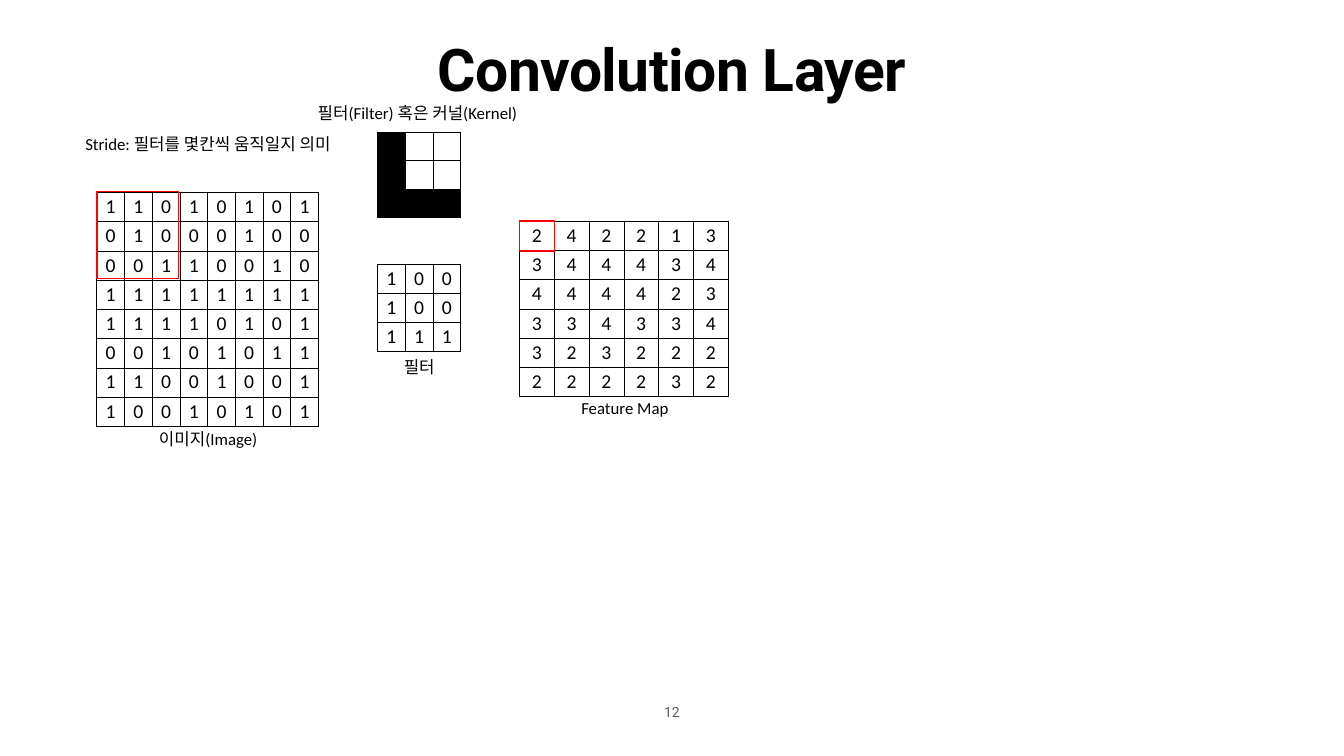
from dataclasses import dataclass

from lxml import etree
from pptx import Presentation
from pptx.dml.color import RGBColor
from pptx.enum.shapes import MSO_SHAPE
from pptx.enum.text import MSO_ANCHOR, PP_ALIGN
from pptx.oxml.ns import qn
from pptx.util import Emu, Pt

PX = 9144  # 100 px to the inch


@dataclass(frozen=True)
class Theme:
    ink: RGBColor = RGBColor(0x00, 0x00, 0x00)
    muted: RGBColor = RGBColor(0x5E, 0x5E, 0x5E)
    accent: RGBColor = RGBColor(0xFF, 0x00, 0x00)
    heading_font: str = "Roboto"
    body_font: str = "Calibri"
    title_size: int = 84
    cell_size: int = 28
    label_size: int = 24
    number_size: int = 20


THEME = Theme()

IMAGE = ["11010101", "01000100", "00110010", "11111111",
         "11110101", "00101011", "11001001", "10010101"]
FILTER = ["100", "100", "111"]
FEATURE_MAP = ["242213", "344434", "444423", "334334", "323222", "222232"]

LABELS = [
    ("필터(Filter) 혹은 커널(Kernel) ", (586, 203, 492, 48)),
    ("이미지(Image)", (285, 850, 256, 48)),
    ("필터", (704, 706, 256, 48)),
    ("Feature Map", (971, 788, 538, 48)),
    ("Stride: 필터를 몇칸씩 움직일지 의미", (122, 263, 581, 48)),
]


def px(*values):
    return [Emu(v * PX) for v in values]


def set_all(target, formats):
    for name, value in formats.items():
        setattr(target, name, value)


def write(tf, text, size, font=THEME.body_font, color=THEME.ink,
          bold=False, line_spacing=0.9):
    p = tf.paragraphs[0]
    set_all(p, {"alignment": PP_ALIGN.CENTER, "line_spacing": line_spacing})
    r = p.add_run()
    r.text = text
    set_all(r.font, {"size": Pt(size), "name": font, "bold": bold})
    r.font.color.rgb = color
    return r


def add_text(slide, text, box, size, anchor=MSO_ANCHOR.MIDDLE, wrap=True, **style):
    tf = slide.shapes.add_textbox(*px(*box)).text_frame
    margins = dict.fromkeys(
        ("margin_left", "margin_top", "margin_right", "margin_bottom"), Emu(6 * PX))
    set_all(tf, {"word_wrap": wrap, "vertical_anchor": anchor, **margins})
    return write(tf, text, size, **style)


def add_borders(cell):
    tc_pr = cell._tc.get_or_add_tcPr()
    for i, side in enumerate(("a:lnL", "a:lnR", "a:lnT", "a:lnB")):
        ln = etree.Element(qn(side), w=str(Pt(1)))
        fill = etree.SubElement(ln, qn("a:solidFill"))
        etree.SubElement(fill, qn("a:srgbClr"), val=str(THEME.ink))
        tc_pr.insert(i, ln)


def add_grid(slide, left, top, col_w, row_h, rows, as_pixels=False):
    """Draw rows of digits, or with as_pixels a black cell for each 1."""
    n_rows, n_cols = len(rows), len(rows[0])
    frame = slide.shapes.add_table(
        n_rows, n_cols, *px(left, top, n_cols * col_w, n_rows * row_h))
    table = frame.table
    set_all(table, {"first_row": False, "horz_banding": False})
    for column in table.columns:
        column.width = Emu(col_w * PX)
    for row, digits in zip(table.rows, rows):
        row.height = Emu(row_h * PX)
        for cell, digit in zip(row.cells, digits):
            set_all(cell, {"vertical_anchor": MSO_ANCHOR.MIDDLE,
                           "margin_top": Emu(3 * PX), "margin_bottom": Emu(3 * PX)})
            if as_pixels and digit == "1":
                cell.fill.solid()
                cell.fill.fore_color.rgb = THEME.ink
            else:
                cell.fill.background()
            if not as_pixels:
                write(cell.text_frame, digit, THEME.cell_size)
            add_borders(cell)


def add_highlight(slide, *box):
    sp = slide.shapes.add_shape(MSO_SHAPE.RECTANGLE, *px(*box))
    sp.shadow.inherit = False
    sp.fill.background()
    sp.line.color.rgb = THEME.accent
    sp.line.width = Pt(2.25)


def main():
    prs = Presentation()
    prs.slide_width, prs.slide_height = px(2667, 1500)
    slide = prs.slides.add_slide(prs.slide_layouts[6])

    # Title and page number
    r = add_text(slide, "Convolution Layer", (133, 85, 2400, 189), THEME.title_size,
                 anchor=MSO_ANCHOR.TOP, font=THEME.heading_font, bold=True,
                 line_spacing=0.8)
    r.font._element.set("spc", "-80")
    add_text(slide, "12", (1307, 1391, 53, 45), THEME.number_size,
             anchor=MSO_ANCHOR.BOTTOM, wrap=False, font=THEME.heading_font,
             color=THEME.muted, line_spacing=1.0)

    # Image, filter (as digits and as pixels) and resulting feature map
    add_grid(slide, 192, 382, 55, 58, IMAGE)
    add_grid(slide, 749, 524, 55, 58, FILTER)
    add_grid(slide, 749, 263, 55, 56, FILTER, as_pixels=True)
    add_grid(slide, 1031, 439, 69, 58, FEATURE_MAP)

    # Captions
    for text, box in LABELS:
        add_text(slide, text, box, THEME.label_size)

    # Current filter window and its output cell
    add_highlight(slide, 192, 380, 162, 173)
    add_highlight(slide, 1031, 438, 69, 60)

    prs.save("out.pptx")


if __name__ == "__main__":
    main()
